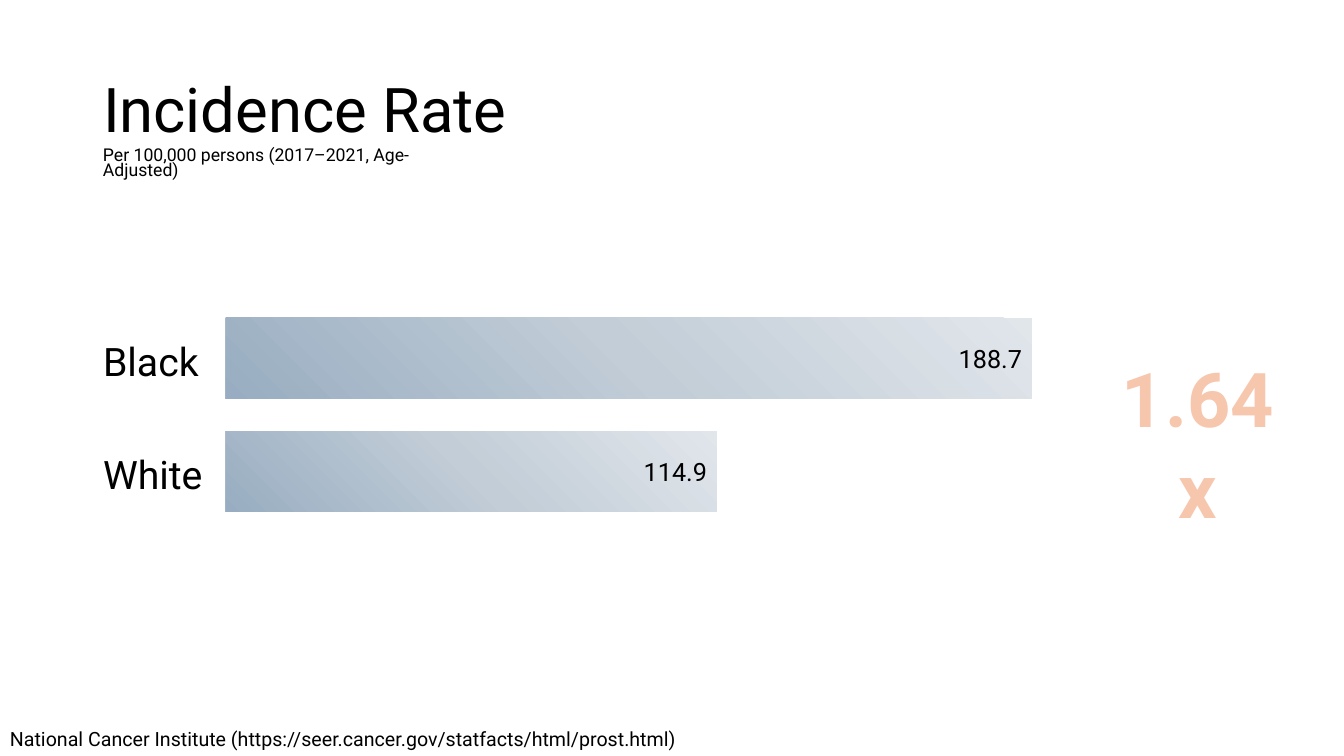
from pptx import Presentation, util as u
from pptx.dml.color import RGBColor
from pptx.enum import shapes, text
from pptx.oxml import parse_xml
from pptx.oxml.ns import nsdecls

PX = 914400 / 100.8
BLACK = RGBColor(0x00, 0x00, 0x00)
PEACH = RGBColor(0xF6, 0xC6, 0xAD)
ORANGE = RGBColor(0xE9, 0x71, 0x32)
BAR_STOPS = [
    (0, RGBColor(0x98, 0xAD, 0xC1)),
    (50, RGBColor(0xC2, 0xCD, 0xD7)),
    (100, RGBColor(0xE1, 0xE6, 0xEB)),
]
RATES = [("Black", 188.7), ("White", 114.9)]
BAR_LEFT, BAR_TOP, BAR_HEIGHT, BAR_PITCH = 226, 318, 81, 113
LONGEST_BAR = 806


def px(*lengths):
    return [u.Emu(round(length * PX)) for length in lengths]


def write(paragraph, words, size=18, color=BLACK, bold=False,
          align=text.PP_ALIGN.LEFT, line=1.0, before=0):
    paragraph.alignment = align
    paragraph.line_spacing = line
    paragraph.space_before = u.Pt(before)
    run = paragraph.add_run()
    run.text = words
    run.font.name = "Roboto"
    run.font.size = u.Pt(size)
    run.font.bold = bold
    run.font.color.rgb = color
    return run


presentation = Presentation()
presentation.slide_width, presentation.slide_height = px(1344, 756)
slide = presentation.slides.add_slide(presentation.slide_layouts[1])

title = slide.shapes.title
title.left, title.top, title.width, title.height = px(93, 40, 1159, 146)
title.text_frame.vertical_anchor = text.MSO_ANCHOR.MIDDLE
title.text_frame.auto_size = text.MSO_AUTO_SIZE.NONE
write(title.text_frame.paragraphs[0], "Incidence Rate", size=44, line=0.9)

groups = slide.placeholders[1]
groups.left, groups.top, groups.width, groups.height = px(93, 338, 1159, 209)
groups.text_frame.auto_size = text.MSO_AUTO_SIZE.NONE

longest_rate = max(rate for _, rate in RATES)
stops = "".join(
    f'<a:gs pos="{position * 1000}"><a:srgbClr val="{color}"/></a:gs>'
    for position, color in BAR_STOPS
)
for index, (group, rate) in enumerate(RATES):
    frame = groups.text_frame
    paragraph = frame.add_paragraph() if index else frame.paragraphs[0]
    write(paragraph, group, size=28, line=0.9, before=50 if index else 10)
    properties = paragraph._p.get_or_add_pPr()
    properties.set("marL", "0")
    properties.set("indent", "0")
    properties.append(parse_xml(f'<a:buNone {nsdecls("a")}/>'))

    bar = slide.shapes.add_shape(
        shapes.MSO_SHAPE.RECTANGLE,
        *px(BAR_LEFT, BAR_TOP + index * BAR_PITCH,
            round(LONGEST_BAR * rate / longest_rate), BAR_HEIGHT))
    bar.shadow.inherit = False
    bar.line.fill.background()
    bar._element.spPr.find("{*}prstGeom").addnext(parse_xml(
        f'<a:gradFill {nsdecls("a")} rotWithShape="1"><a:gsLst>{stops}</a:gsLst>'
        '<a:path path="circle"><a:fillToRect t="100000" r="100000"/></a:path>'
        '</a:gradFill>'))
    bar.text_frame.vertical_anchor = text.MSO_ANCHOR.MIDDLE
    write(bar.text_frame.paragraphs[0], str(rate), align=text.PP_ALIGN.RIGHT)

subtitle = slide.shapes.add_textbox(*px(93, 143, 393, 43))
subtitle.text_frame.word_wrap = True
subtitle.text_frame.vertical_anchor = text.MSO_ANCHOR.MIDDLE
write(subtitle.text_frame.paragraphs[0],
      "Per 100,000 persons (2017–2021, Age-Adjusted)", size=12.6, line=0.7)

ratio = slide.shapes.add_textbox(*px(1096, 347, 204, 102))
ratio.text_frame.word_wrap = True
ratio_run = write(ratio.text_frame.paragraphs[0], "1.64x", size=54, color=PEACH,
                  bold=True, align=text.PP_ALIGN.CENTER)
ratio_run.font._element.insert(0, parse_xml(
    f'<a:ln {nsdecls("a")} w="{u.Pt(1.75)}"><a:solidFill>'
    f'<a:srgbClr val="{ORANGE}"/></a:solidFill></a:ln>'))

citation = slide.shapes.add_textbox(*px(0, 722, 1179, 34))
citation.text_frame.word_wrap = True
write(citation.text_frame.paragraphs[0],
      "National Cancer Institute (https://seer.cancer.gov/statfacts/html/prost.html)",
      size=14)

presentation.save("out.pptx")
